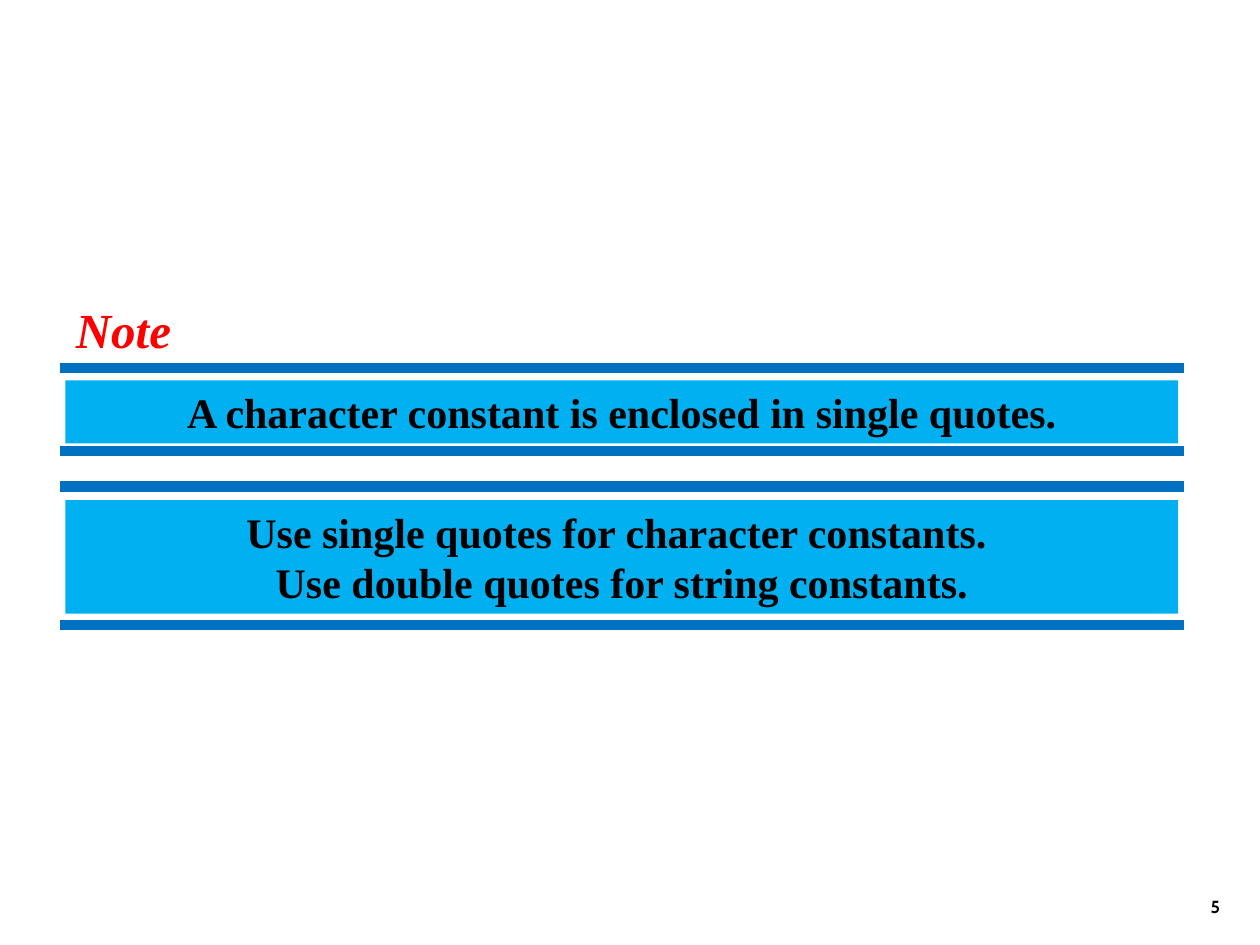
from lxml.etree import SubElement
from pptx import Presentation
from pptx.dml.color import RGBColor
from pptx.enum.shapes import MSO_CONNECTOR, MSO_SHAPE
from pptx.enum.text import MSO_ANCHOR, PP_ALIGN
from pptx.oxml.ns import qn
from pptx.util import Inches, Pt

COLORS = {"rule": "0070C0", "panel": "00B0F0", "title": "FF0000", "text": "000000"}
SERIF = "Times New Roman"
TITLE = "Note"
PAGE_NUMBER = "5"
PANELS = [
    {"lines": ["A character constant is enclosed in single quotes."],
     "top": 3.02, "height": 0.5, "rules": (2.92, 3.58)},
    {"lines": ["Use single quotes for character constants. ",
               "Use double quotes for string constants."],
     "top": 3.97, "height": 0.9, "rules": (3.86, 4.96)},
]
RULE_LEFT, RULE_RIGHT = 0.48, 9.4
PANEL_LEFT, PANEL_WIDTH = 0.52, 8.83


def rgb(name):
    return RGBColor.from_string(COLORS[name])


def write(shape, lines, size, font, color, align, anchor, wrap=True, italic=False):
    tf = shape.text_frame
    tf.word_wrap = wrap
    tf.vertical_anchor = anchor
    tf.margin_left = tf.margin_right = Inches(0.1)
    tf.margin_top = tf.margin_bottom = Inches(0.05)
    p = tf.paragraphs[0]
    p.alignment = align
    p.line_spacing = 1.0
    p.space_before = Pt(0)
    for i, line in enumerate(lines):
        if i:
            p.add_line_break()
        r = p.add_run()
        r.text = line
        r.font.name = font
        r.font.size = Pt(size)
        r.font.bold = True
        r.font.italic = italic
        r.font.color.rgb = rgb(color)


def add_rule(s, y):
    line = s.shapes.add_connector(MSO_CONNECTOR.STRAIGHT, Inches(RULE_LEFT), Inches(y),
                                  Inches(RULE_RIGHT), Inches(y))
    line.line.color.rgb = rgb("rule")
    line.line.width = Pt(6)
    SubElement(line._element.spPr, qn("a:effectLst"))


def add_panel(s, panel):
    for y in panel["rules"]:
        add_rule(s, y)
    sp = s.shapes.add_shape(MSO_SHAPE.RECTANGLE, Inches(PANEL_LEFT), Inches(panel["top"]),
                            Inches(PANEL_WIDTH), Inches(panel["height"]))
    sp.shadow.inherit = False
    sp.fill.solid()
    sp.fill.fore_color.rgb = rgb("panel")
    sp.line.fill.background()
    write(sp, panel["lines"], 24, SERIF, "text", PP_ALIGN.CENTER, MSO_ANCHOR.TOP)


def main():
    prs = Presentation()
    prs.slide_width, prs.slide_height = Inches(10), Inches(7.5)
    s = prs.slides.add_slide(prs.slide_layouts[5])

    title = s.shapes.title
    title.left, title.top = Inches(0.5), Inches(2.33)
    title.width, title.height = Inches(0.96), Inches(0.57)
    write(title, [TITLE], 28, SERIF, "title", PP_ALIGN.CENTER, MSO_ANCHOR.TOP,
          wrap=False, italic=True)

    for panel in PANELS:
        add_panel(s, panel)

    number = s.shapes.add_textbox(Inches(7.7), Inches(6.83), Inches(2.08), Inches(0.5))
    write(number, [PAGE_NUMBER], 10, "Cabin", "text", PP_ALIGN.RIGHT, MSO_ANCHOR.BOTTOM)

    prs.save("out.pptx")


if __name__ == "__main__":
    main()
